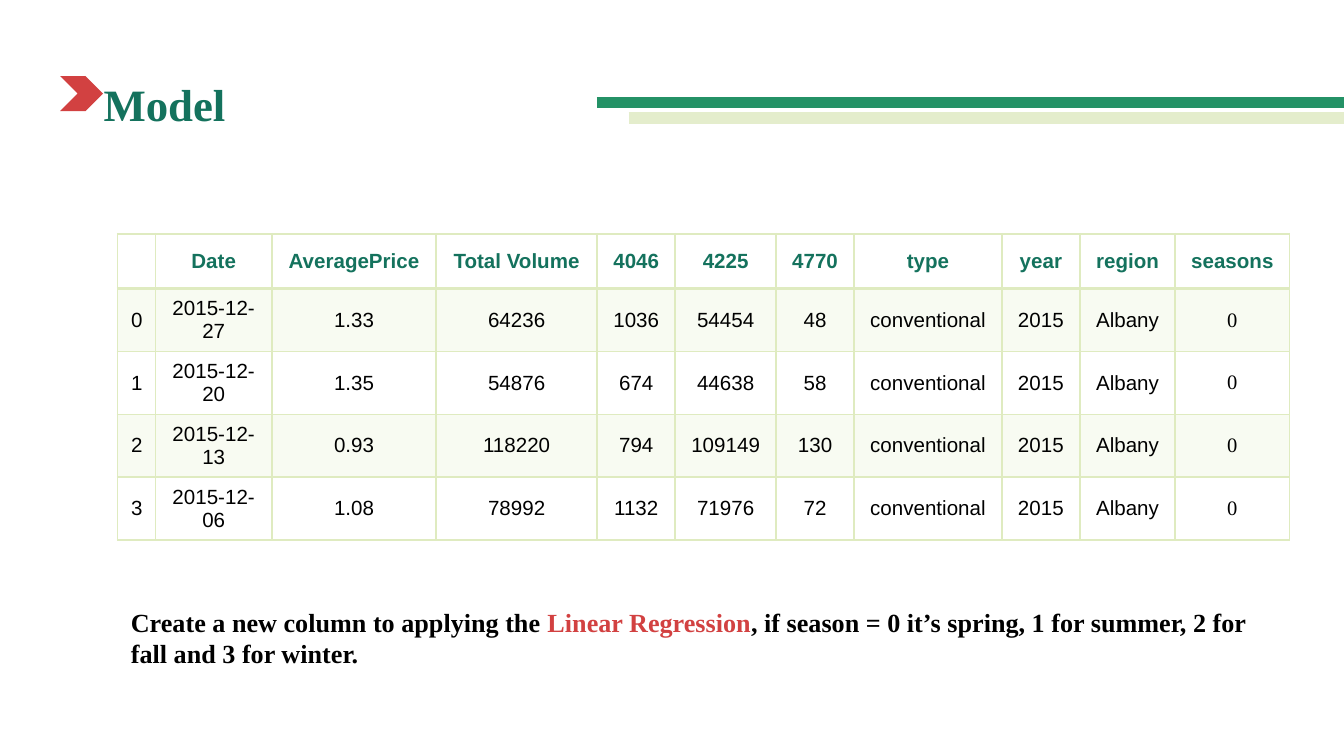
from lxml.etree import SubElement
from pptx import Presentation
from pptx.dml.color import RGBColor
from pptx.enum.shapes import MSO_CONNECTOR, MSO_SHAPE
from pptx.enum.text import MSO_ANCHOR, PP_ALIGN
from pptx.oxml.ns import qn
from pptx.util import Pt

GREEN = RGBColor(0x24, 0x92, 0x66)
DARK_GREEN = RGBColor(0x14, 0x72, 0x5D)
PALE_GREEN = RGBColor(0xE4, 0xED, 0xCC)
GRID_GREEN = RGBColor(0xDF, 0xEB, 0xC0)
RED = RGBColor(0xD2, 0x41, 0x41)
BLACK = RGBColor(0, 0, 0)
SERIF = "Times New Roman"
SANS = "Arial"

HEADINGS = ["", "Date", "AveragePrice", "Total Volume", "4046", "4225", "4770",
            "type", "year", "region", "seasons"]
COLUMN_WIDTHS = [20.2, 62.6, 87.8, 86.4, 41.8, 54, 41.8, 79.2, 41.8, 51.1, 61.2]
# Date, average price, total volume, 4046, 4225, 4770
SALES = [
    ["2015-12-27", "1.33", "64236", "1036", "54454", "48"],
    ["2015-12-20", "1.35", "54876", "674", "44638", "58"],
    ["2015-12-13", "0.93", "118220", "794", "109149", "130"],
    ["2015-12-06", "1.08", "78992", "1132", "71976", "72"],
]
SHARED = ["conventional", "2015", "Albany", "0"]


class SlideBuilder:
    """Holds the slide and its style."""

    def __init__(self, slide):
        self.slide = slide

    def style(self, font, name, size, color, bold=False):
        font.name, font.size, font.bold = name, Pt(size), bold
        font.color.rgb = color

    def rule(self, left, y, length, color):
        line = self.slide.shapes.add_connector(
            MSO_CONNECTOR.STRAIGHT, Pt(left), Pt(y), Pt(left + length), Pt(y))
        line.line.color.rgb = color
        line.line.width = Pt(6)
        SubElement(line._element.spPr, qn("a:effectLst"))

    def chevron(self, left, top, width, height, color):
        marker = self.slide.shapes.add_shape(
            MSO_SHAPE.CHEVRON, Pt(left), Pt(top), Pt(width), Pt(height))
        marker.shadow.inherit = False
        marker.fill.solid()
        marker.fill.fore_color.rgb = color
        marker.line.fill.background()

    def text(self, left, top, width, height, size, parts, anchor=MSO_ANCHOR.TOP):
        """Write (wording, color) parts as one bold serif paragraph."""
        frame = self.slide.shapes.add_textbox(
            Pt(left), Pt(top), Pt(width), Pt(height)).text_frame
        frame.word_wrap = True
        frame.vertical_anchor = anchor
        paragraph = frame.paragraphs[0]
        self.style(paragraph.font, SERIF, size, parts[0][1], True)
        for wording, color in parts:
            run = paragraph.add_run()
            run.text = wording
            self.style(run.font, SERIF, size, color, True)

    def borders(self, cell, top, bottom):
        properties = cell._tc.get_or_add_tcPr()
        for side, width in (("L", 1), ("R", 1), ("T", top), ("B", bottom)):
            edge = SubElement(properties, qn(f"a:ln{side}"), w=str(Pt(width)))
            fill = SubElement(edge, qn("a:solidFill"))
            SubElement(fill, qn("a:srgbClr"), val=str(GRID_GREEN))

    def cell(self, cell, wording, name, color, bold, banded):
        cell.vertical_anchor = MSO_ANCHOR.MIDDLE
        paragraph = cell.text_frame.paragraphs[0]
        paragraph.alignment = PP_ALIGN.CENTER
        self.style(paragraph.font, name, 11, color, bold)
        if wording:
            run = paragraph.add_run()
            run.text = wording
            self.style(run.font, name, 11, color, bold)
        if banded:
            cell.fill.solid()
            cell.fill.fore_color.rgb = GRID_GREEN
            tint = cell._tc.tcPr.find(qn("a:solidFill"))[0]
            SubElement(tint, qn("a:alpha"), val="20000")
        else:
            cell.fill.background()

    def table(self, left, top, height, row_height, widths, rows):
        frame = self.slide.shapes.add_table(
            len(rows), len(widths), Pt(left), Pt(top), Pt(sum(widths)), Pt(height))
        table = frame.table
        table.first_row = table.horz_banding = False
        for column, width in zip(table.columns, widths):
            column.width = Pt(width)
        for r, row in enumerate(rows):
            table.rows[r].height = Pt(row_height)
            header = r == 0
            for c, wording in enumerate(row):
                cell = table.cell(r, c)
                self.borders(cell, 2 if r == 1 else 1, 2 if header else 1)
                season = not header and c == len(row) - 1
                self.cell(cell, wording, SERIF if season else SANS,
                          DARK_GREEN if header else BLACK, header, r % 2 == 1)
        frame.height = Pt(height)


def main():
    deck = Presentation()
    deck.slide_width, deck.slide_height = Pt(720), Pt(405)
    builder = SlideBuilder(deck.slides.add_slide(deck.slide_layouts[6]))

    # Heading with its double rule
    builder.rule(319.7, 54.8, 432.5, GREEN)
    builder.rule(336.8, 63.2, 432.5, PALE_GREEN)
    builder.text(48.4, 26, 425.5, 47.5, 24, [("Model", DARK_GREEN)],
                 MSO_ANCHOR.BOTTOM)

    # Sales data with the added seasons column
    rows = [[str(i), *sales, *SHARED] for i, sales in enumerate(SALES)]
    builder.table(63, 125.2, 163.4, 29.5, COLUMN_WIDTHS, [HEADINGS, *rows])

    # Explanation
    builder.text(63, 321.1, 627, 41, 14, [
        ("Create a new column to applying the ", BLACK),
        ("Linear Regression", RED),
        (", if season = 0 it’s spring, 1 for summer, 2 for fall and 3 for winter.",
         BLACK),
    ])

    # Heading marker
    builder.chevron(32.2, 40.8, 23, 18.7, RED)

    deck.save("out.pptx")


if __name__ == "__main__":
    main()
